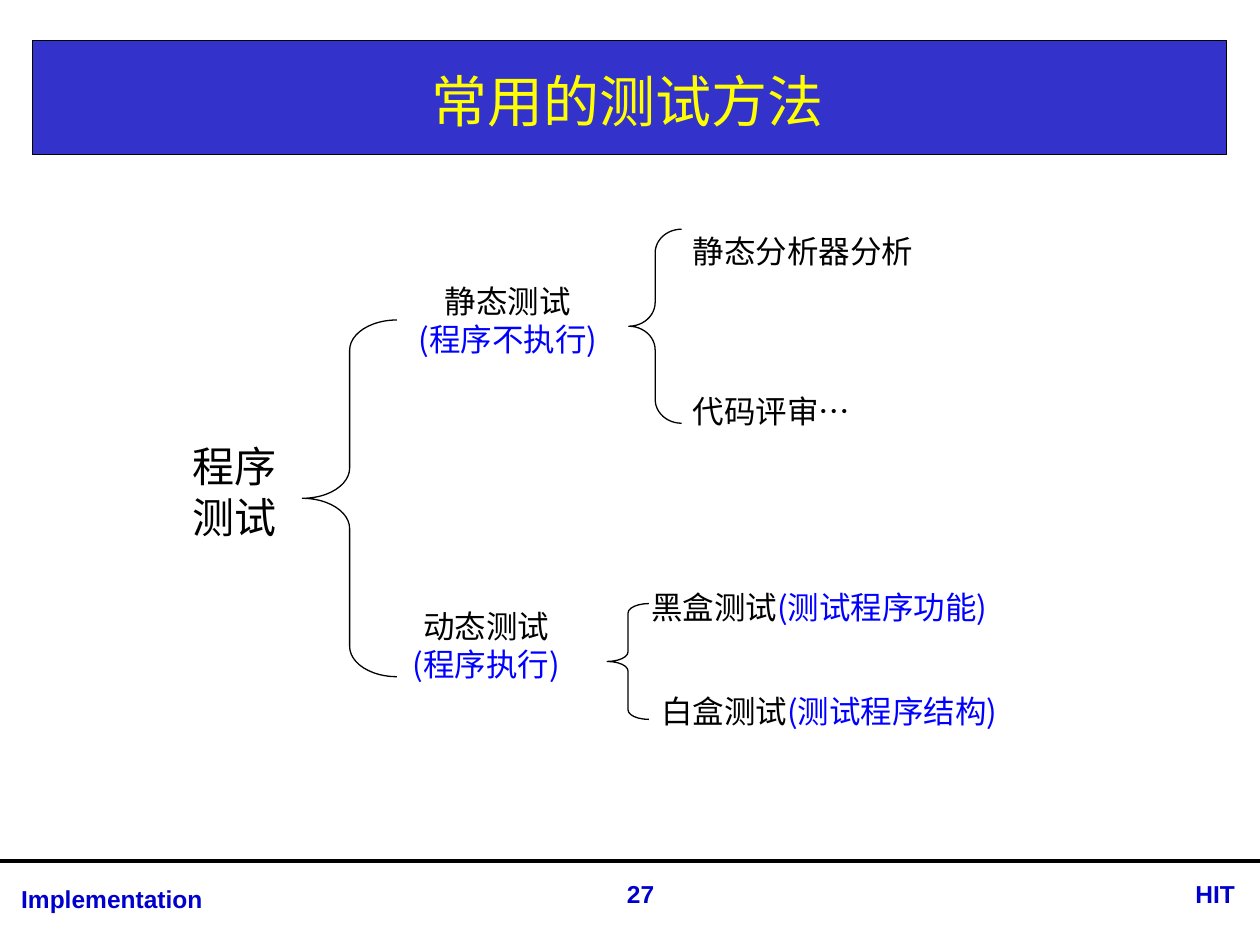
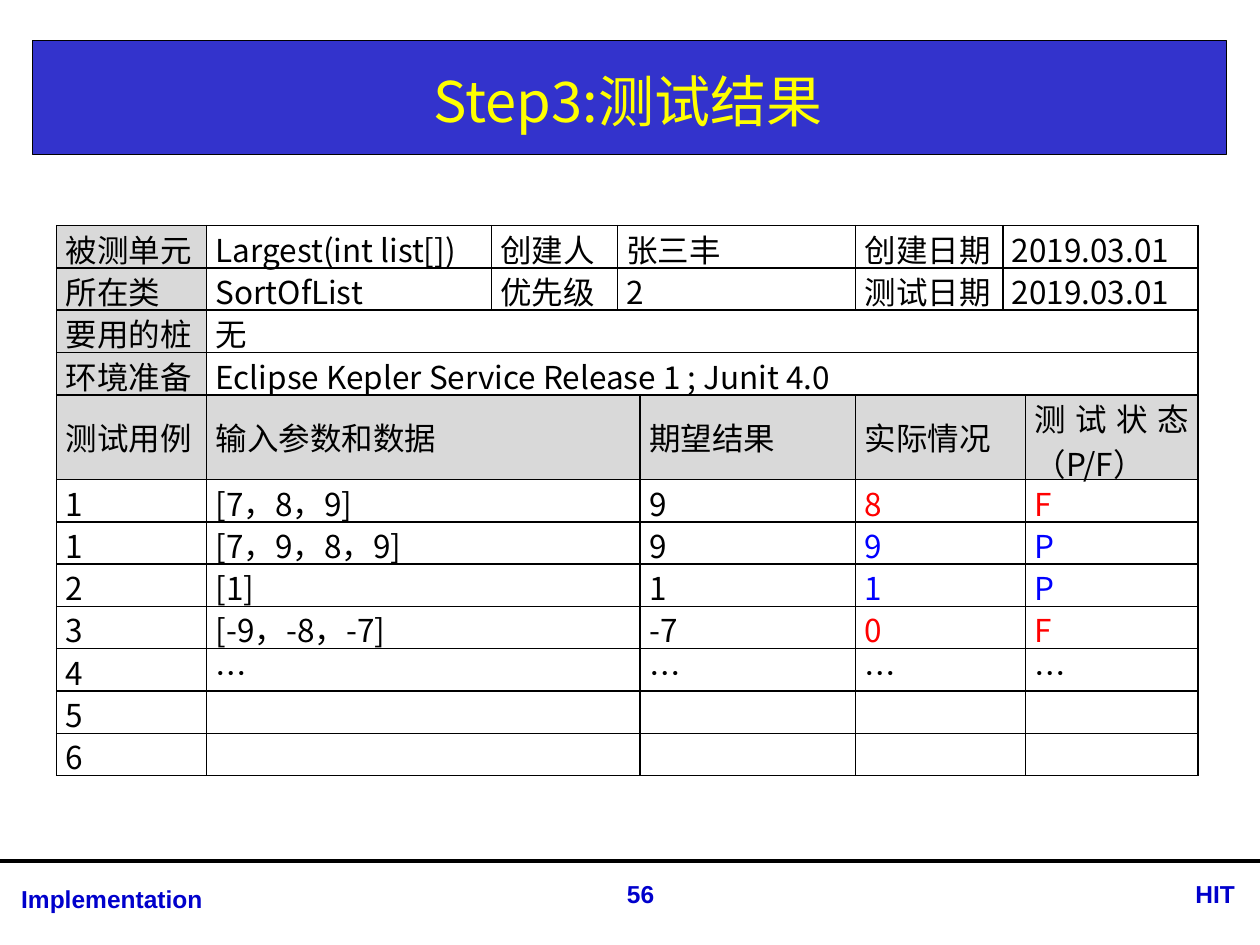
from dataclasses import dataclass

from lxml import etree
from pptx import Presentation
from pptx import util as u
from pptx.dml.color import RGBColor
from pptx.enum import shapes, text
from pptx.oxml import ns


@dataclass(frozen=True)
class Theme:
    """Colours, fonts and type sizes shared by all slides."""
    band: str = "3333CC"
    title: str = "FFFF00"
    footer: str = "0000CC"
    ink: str = "000000"
    note: str = "0000FF"
    fail: str = "FF0000"
    label: str = "D9D9D9"
    font: str = "Noto Sans CJK SC"
    footer_font: str = "Arial"
    title_size: int = 32
    root_size: int = 24
    body_size: int = 18
    footer_size: int = 14
    thin: float = 0.75
    border: float = 1
    rule: float = 2.25


THEME = Theme()
ALIGN = text.PP_ALIGN
WIDTH, HEIGHT = 720, 540
TITLE_BOX = (18.7, 23, 682, 65.5)
FOOTER_BOX = (0, 491.8, WIDTH, 48.2)
DIAGRAM_BOX = (95, 129, 528, 291.5)
TABLE_BOX = (32.4, 128.9, 652.3, 314.6)

# Each piece of text is (words, colour); each paragraph is a list of pieces.
# Labels: left, top, width, height, alignment, size, paragraphs
LABELS = [
    (0, 119.4, 77.8, 65.5, ALIGN.CENTER, THEME.root_size, [[("程序测试", THEME.ink)]]),
    (120.3, 28.7, 149.8, 51.1, ALIGN.CENTER, THEME.body_size,
     [[("静态测试", THEME.ink)], [("(程序不执行)", THEME.note)]]),
    (131.8, 214.4, 102.2, 51.1, ALIGN.CENTER, THEME.body_size,
     [[("动态测试", THEME.ink)], [("(程序执行)", THEME.note)]]),
    (293.8, 0, 174.2, 28.8, ALIGN.LEFT, THEME.body_size, [[("静态分析器分析", THEME.ink)]]),
    (293.8, 91.3, 120.2, 28.8, ALIGN.LEFT, THEME.body_size, [[("代码评审…", THEME.ink)]]),
    (270, 203.6, 246.2, 28.8, ALIGN.LEFT, THEME.body_size,
     [[("黑盒测试", THEME.ink), ("(测试程序功能)", THEME.note)]]),
    (275.8, 262.7, 252, 28.8, ALIGN.LEFT, THEME.body_size,
     [[("白盒测试", THEME.ink), ("(测试程序结构)", THEME.note)]]),
]
# Braces: left, top, width, height, curl
BRACES = [
    (264.3, 2, 30.2, 110.9, 0.45),
    (252, 215.9, 23.8, 66.2, 0.23),
    (77.8, 53.9, 54, 203.8, 0.32),
]

COLUMN_WIDTHS = [85.7, 162.7, 72, 13, 123.1, 84.2, 13, 98.6]
ROW_HEIGHT = 24.2
HEADER_ROW = 4
# Column spans, chosen by the number of entries in a row
SPANS = {6: (1, 1, 1, 2, 1, 2), 2: (1, 7), 5: (1, 3, 1, 2, 1)}
TEST_REPORT = [
    ["被测单元", "Largest(int list[])", "创建人", "张三丰", "创建日期", "2019.03.01"],
    ["所在类", "SortOfList", "优先级", "2", "测试日期", "2019.03.01"],
    ["要用的桩", "无"],
    ["环境准备", "Eclipse Kepler Service Release 1 ; Junit 4.0"],
    ["测试用例", "输入参数和数据", "期望结果", "实际情况", "测试状态（P/F）"],
    ["1", "[7，8，9]", "9", "8", "F"],
    ["1", "[7，9，8，9]", "9", "9", "P"],
    ["2", "[1]", "1", "1", "P"],
    ["3", "[-9，-8，-7]", "-7", "0", "F"],
    ["4", "…", "…", "…", "…"],
    ["5", "", "", "", ""],
    ["6", "", "", "", ""],
]
VERDICT_COLOURS = {"F": THEME.fail, "P": THEME.note}


def rgb(colour):
    return RGBColor.from_string(colour)


def apply(target, values):
    for name, value in values.items():
        setattr(target, name, value)


def points(*lengths):
    return [u.Pt(length) for length in lengths]


def write(frame, paragraphs, size, align, font=THEME.font, bold=False):
    """Fill a text frame with paragraphs of coloured pieces."""
    for index, pieces in enumerate(paragraphs):
        paragraph = frame.add_paragraph() if index else frame.paragraphs[0]
        paragraph.alignment = align
        for words, colour in pieces:
            run = paragraph.add_run()
            run.text = words
            apply(run.font, {"size": u.Pt(size), "name": font, "bold": bold})
            run.font.color.rgb = rgb(colour)
            east_asian = etree.SubElement(run._r.get_or_add_rPr(), ns.qn("a:ea"))
            east_asian.set("typeface", font)


def add_label(slide, box, paragraphs, size, align, frame_format=None, **style):
    frame = slide.shapes.add_textbox(*points(*box)).text_frame
    apply(frame, {"word_wrap": True, "auto_size": text.MSO_AUTO_SIZE.SHAPE_TO_FIT_TEXT,
                  **(frame_format or {})})
    write(frame, paragraphs, size, align, **style)


def add_outlined(slide, kind, box):
    shape = slide.shapes.add_shape(kind, *points(*box))
    shape.shadow.inherit = False
    shape.line.color.rgb = rgb(THEME.ink)
    shape.line.width = u.Pt(THEME.thin)
    return shape


def add_title(slide, box, title):
    # Coloured band with the title centred on it
    left, top, width, height = box
    band = add_outlined(slide, shapes.MSO_SHAPE.RECTANGLE, box)
    band.fill.solid()
    band.fill.fore_color.rgb = rgb(THEME.band)
    add_label(slide, (left, top + 2.9, width - 1.6, height - 2.9), [[(title, THEME.title)]],
              THEME.title_size, ALIGN.CENTER,
              {"auto_size": text.MSO_AUTO_SIZE.NONE, "vertical_anchor": text.MSO_ANCHOR.MIDDLE})


def add_footer(slide, box, number):
    # Rule across the slide
    left, top, width, _ = box
    rule = slide.shapes.add_connector(shapes.MSO_CONNECTOR.STRAIGHT,
                                      *points(left, top, left + width, top))
    apply(rule.line, {"width": u.Pt(THEME.rule)})
    rule.line.color.rgb = rgb(THEME.ink)
    etree.SubElement(rule._element.spPr, ns.qn("a:effectLst"))

    # Course part, school and slide number
    for words, x, y, label_width, align in [
        ("Implementation", 5, 10, 277.2, ALIGN.LEFT),
        ("HIT", 638.6, 7.2, 74.2, ALIGN.RIGHT),
        (str(number), 329, 7.2, 74.2, ALIGN.CENTER),
    ]:
        add_label(slide, (left + x, top + y, label_width, 24.5), [[(words, THEME.footer)]],
                  THEME.footer_size, align, font=THEME.footer_font, bold=True)


def add_method_tree(slide, box):
    left, top = box[:2]
    # Method names
    for x, y, width, height, align, size, paragraphs in LABELS:
        add_label(slide, (left + x, top + y, width, height), paragraphs, size, align)
    # Braces joining the levels
    for x, y, width, height, curl in BRACES:
        brace = add_outlined(slide, shapes.MSO_SHAPE.LEFT_BRACE,
                             (left + x, top + y, width, height))
        brace.fill.background()
        brace.adjustments[0] = curl


def format_cell(cell, fill):
    apply(cell, {"margin_left": u.Pt(5.2), "margin_right": u.Pt(5.2), "margin_top": 0,
                 "margin_bottom": 0, "vertical_anchor": text.MSO_ANCHOR.MIDDLE})
    if fill:
        cell.fill.solid()
        cell.fill.fore_color.rgb = rgb(fill)
    else:
        cell.fill.background()
    # Borders stand before the fill in the cell properties
    properties = cell._tc.get_or_add_tcPr()
    for index, side in enumerate(("a:lnL", "a:lnR", "a:lnT", "a:lnB")):
        border = etree.Element(ns.qn(side), w=str(u.Pt(THEME.border)))
        solid = etree.SubElement(border, ns.qn("a:solidFill"))
        etree.SubElement(solid, ns.qn("a:srgbClr"), val=THEME.ink)
        properties.insert(index, border)


def add_test_report(slide, box):
    table = slide.shapes.add_table(len(TEST_REPORT), len(COLUMN_WIDTHS), *points(*box)).table
    apply(table, {"first_row": False, "horz_banding": False})
    for column, width in zip(table.columns, COLUMN_WIDTHS):
        column.width = u.Pt(width)

    for row, entries in enumerate(TEST_REPORT):
        table.rows[row].height = u.Pt(ROW_HEIGHT * (2 if row == HEADER_ROW else 1))
        verdict_colour = VERDICT_COLOURS.get(entries[-1], THEME.ink)
        column = 0
        for position, (words, span) in enumerate(zip(entries, SPANS[len(entries)])):
            # Labels are grey: the first column down to the header row, then that whole row
            is_label = row == HEADER_ROW or (row < HEADER_ROW and position == 0)
            for covered in range(column, column + span):
                format_cell(table.cell(row, covered), THEME.label if is_label else None)
            cell = table.cell(row, column)
            if span > 1:
                cell.merge(table.cell(row, column + span - 1))
            if words:
                colour = verdict_colour if position >= 3 else THEME.ink
                write(cell.text_frame, [[(words, colour)]], THEME.body_size, ALIGN.JUSTIFY)
            column += span


def add_slide(presentation, title, number, add_content, content_box):
    slide = presentation.slides.add_slide(presentation.slide_layouts[6])
    add_title(slide, TITLE_BOX, title)
    add_footer(slide, FOOTER_BOX, number)
    add_content(slide, content_box)


def main():
    presentation = Presentation()
    apply(presentation, {"slide_width": u.Pt(WIDTH), "slide_height": u.Pt(HEIGHT)})
    add_slide(presentation, "常用的测试方法", 27, add_method_tree, DIAGRAM_BOX)
    add_slide(presentation, "Step3:测试结果", 56, add_test_report, TABLE_BOX)
    presentation.save("out.pptx")


if __name__ == "__main__":
    main()
